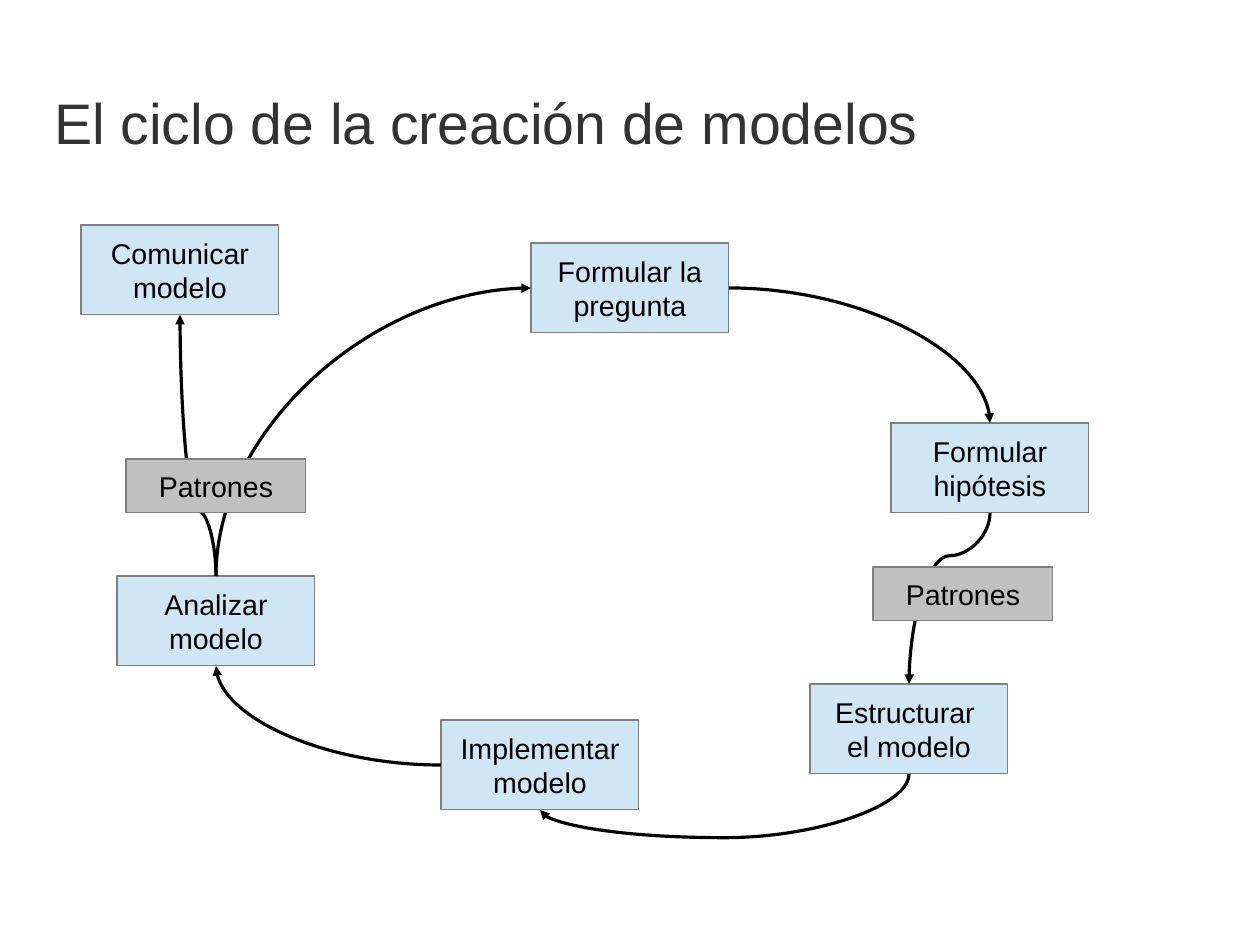
from pptx import Presentation
from pptx.dml.color import RGBColor
from pptx.enum.shapes import MSO_CONNECTOR, MSO_SHAPE
from pptx.enum.text import MSO_ANCHOR, PP_ALIGN
from pptx.oxml.ns import qn
from pptx.util import Cm, Pt
from lxml import etree

CURVE = MSO_CONNECTOR.CURVE
RECT = MSO_SHAPE.RECTANGLE
MIDDLE = MSO_ANCHOR.MIDDLE
LEFT, CENTER = PP_ALIGN.LEFT, PP_ALIGN.CENTER
TITLE_ONLY = 5
TOP, WEST, BOTTOM, EAST = range(4)  # connection sites of a rectangle

STEP_SIZE = (4.4, 2)
PATTERN_SIZE = (4, 1.2)
STEPS = {  # name: (left, top, lines)
    "ask": (11.8, 5.4, ["Formular la", "pregunta"]),
    "hypothesis": (19.8, 9.4, ["Formular", "hipótesis"]),
    "structure": (18, 15.2, ["Estructurar ", "el modelo"]),
    "implement": (9.8, 16, ["Implementar", "modelo"]),
    "analyse": (2.6, 12.8, ["Analizar", "modelo"]),
    "communicate": (1.8, 5, ["Comunicar", "modelo"]),
}
PATTERNS = [(2.8, 10.2), (19.4, 12.6)]
ARROWS = [  # start, site, end, site, rotation, vertical flip, bend (None: one quarter turn)
    ("analyse", TOP, "ask", WEST, 270, 0, None),
    ("ask", EAST, "hypothesis", TOP, 0, 0, None),
    ("hypothesis", BOTTOM, "structure", TOP, 90, 0, 0.25),
    ("structure", BOTTOM, "implement", BOTTOM, 90, 0, 1.77),
    ("implement", WEST, "analyse", BOTTOM, 180, 0, None),
    ("analyse", TOP, "communicate", BOTTOM, 270, 1, 0.25),
]


def rgb(color):
    return RGBColor.from_string(color)


def set_attrs(obj, values):
    for name, value in values.items():
        setattr(obj, name, value)


def write(tf, lines, size, color, align):
    for i, line in enumerate(lines):
        p = tf.paragraphs[0] if i == 0 else tf.add_paragraph()
        p.alignment = align
        r = p.add_run()
        r.text = line
        set_attrs(r.font, {"name": "Arial", "size": Pt(size)})
        r.font.color.rgb = rgb(color)


def add_title(s, text, left, top, width, height):
    sp = s.shapes.title
    set_attrs(sp, {"left": Cm(left), "top": Cm(top),
                   "width": Cm(width), "height": Cm(height)})
    tf = sp.text_frame
    set_attrs(tf, {"margin_left": 0, "margin_top": 0, "margin_right": 0,
                   "margin_bottom": 0, "vertical_anchor": MIDDLE})
    write(tf, [text], 36, "333333", LEFT)


def add_box(s, lines, left, top, size, fill):
    sp = s.shapes.add_shape(RECT, Cm(left), Cm(top), *map(Cm, size))
    sp.shadow.inherit = False
    sp.fill.solid()
    sp.fill.fore_color.rgb = rgb(fill)
    sp.line.color.rgb = rgb("808080")
    sp.line.width = 0
    tf = sp.text_frame
    set_attrs(tf, {"word_wrap": False, "vertical_anchor": MIDDLE})
    write(tf, lines, 18, "000000", CENTER)
    return sp


def add_arrow(s, start, start_site, end, end_site, rotation, flip, bend):
    c = s.shapes.add_connector(CURVE, 0, 0, 0, 0)
    c.begin_connect(start, start_site)
    c.end_connect(end, end_site)

    # The frame shares its centre with the two ends and is turned about it
    x0, y0, x1, y1 = c.begin_x, c.begin_y, c.end_x, c.end_y
    w, h = abs(x1 - x0), abs(y1 - y0)
    if rotation in (90, 270):
        w, h = h, w
    set_attrs(c, {"left": (x0 + x1 - w) // 2, "top": (y0 + y1 - h) // 2,
                  "width": w, "height": h})
    spPr = c.element.spPr
    for name, value in {"rot": rotation * 60000, "flipH": 0, "flipV": flip}.items():
        spPr.find(qn("a:xfrm")).set(name, str(value))

    # Curve type and bend
    geom = spPr.find(qn("a:prstGeom"))
    if bend is None:
        geom.set("prst", "curvedConnector2")
    else:
        etree.SubElement(geom.find(qn("a:avLst")), qn("a:gd"),
                         name="adj1", fmla=f"val {round(bend * 100000)}")

    # Line and arrowhead
    c.line.color.rgb = rgb("000000")
    c.line.width = 0
    etree.SubElement(spPr.find(qn("a:ln")), qn("a:tailEnd"), type="triangle")
    etree.SubElement(spPr, qn("a:effectLst"))


def add_cycle(s):
    boxes = {name: add_box(s, lines, left, top, STEP_SIZE, "CFE7F5")
             for name, (left, top, lines) in STEPS.items()}
    for start, start_site, end, end_site, *route in ARROWS:
        add_arrow(s, boxes[start], start_site, boxes[end], end_site, *route)
    # Pattern labels lie over the arrows
    for left, top in PATTERNS:
        add_box(s, ["Patrones"], left, top, PATTERN_SIZE, "C0C0C0")


def main():
    prs = Presentation()
    set_attrs(prs, {"slide_width": Cm(28), "slide_height": Cm(21)})
    s = prs.slides.add_slide(prs.slide_layouts[TITLE_ONLY])
    add_title(s, "El ciclo de la creación de modelos", 1.2, 1.8, 20.8, 1.8)
    add_cycle(s)
    prs.save("out.pptx")


if __name__ == "__main__":
    main()
